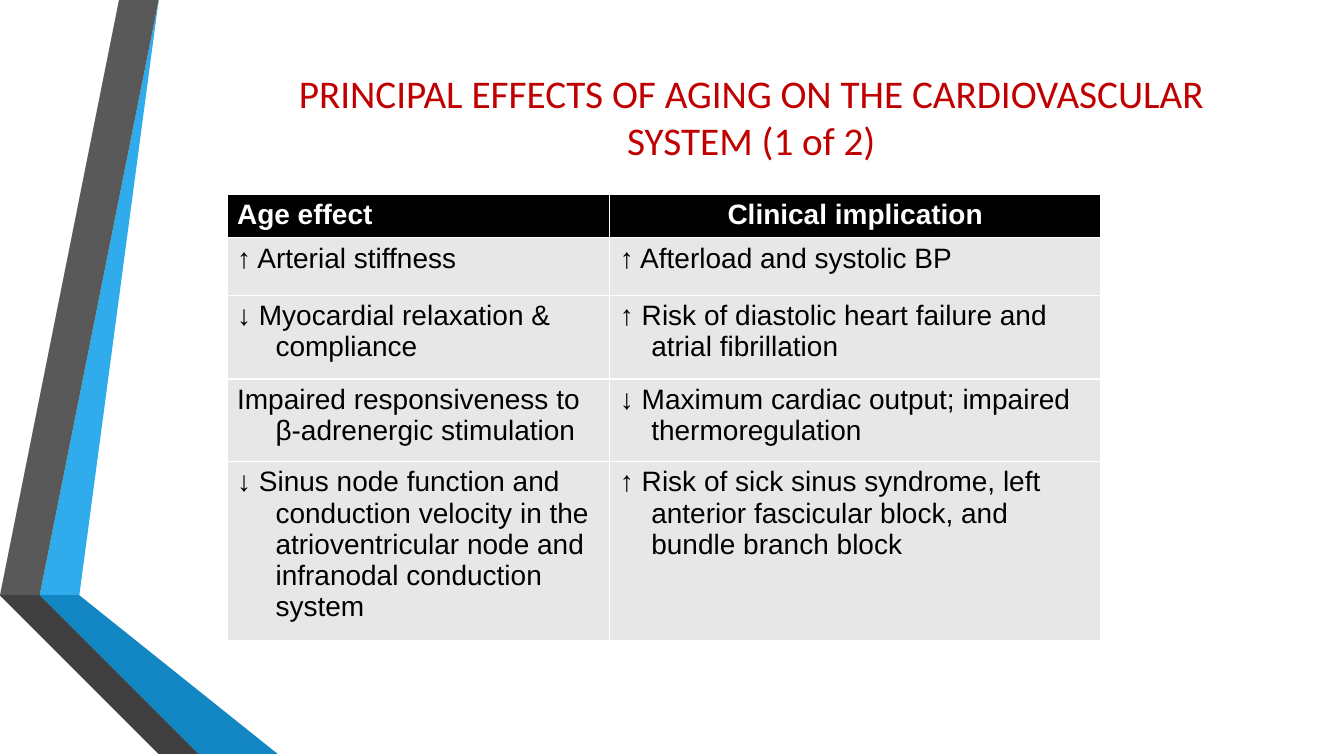
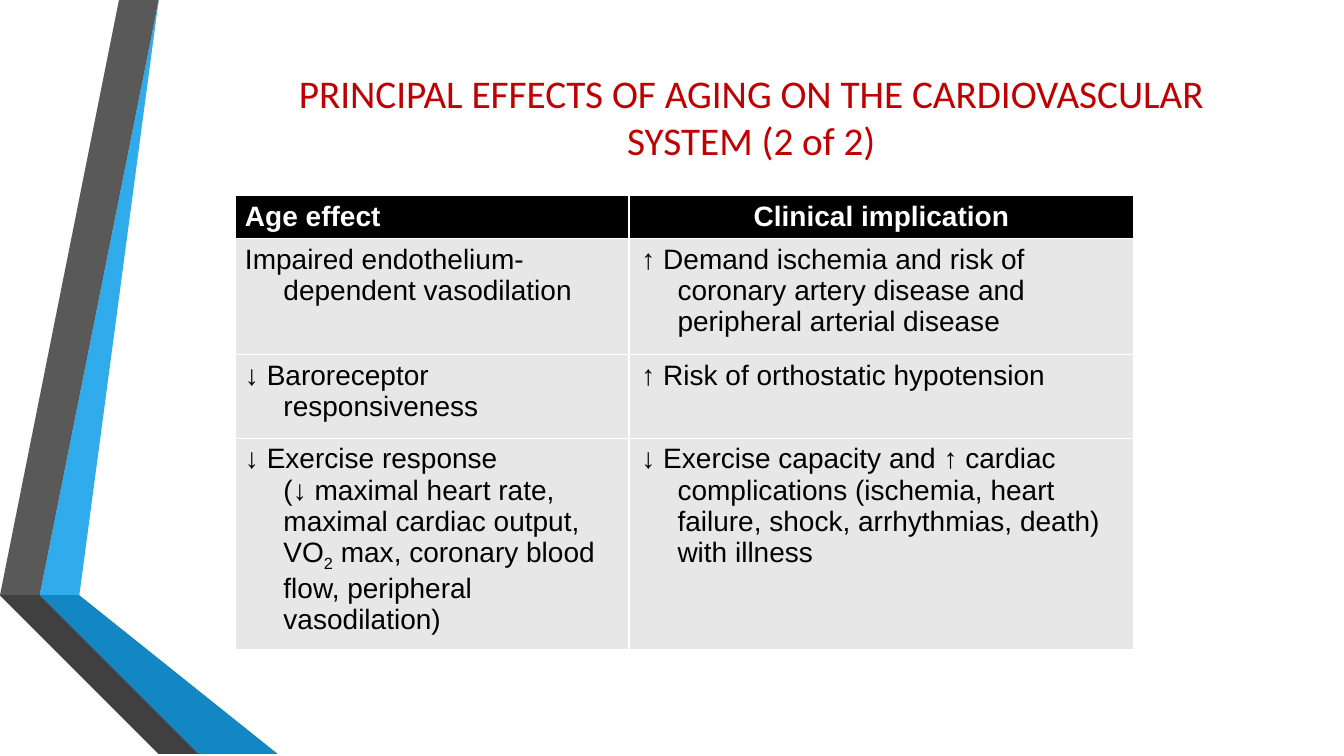
from dataclasses import dataclass

from lxml import etree
from pptx import Presentation
from pptx.dml.color import RGBColor
from pptx.enum.text import MSO_ANCHOR, MSO_AUTO_SIZE, PP_ALIGN
from pptx.oxml.ns import qn
from pptx.util import Cm, Pt

LEFT, CENTER = PP_ALIGN.LEFT, PP_ALIGN.CENTER
MIDDLE, NO_FIT = MSO_ANCHOR.MIDDLE, MSO_AUTO_SIZE.NONE
TITLE_ONLY = 5
COLORS = {
    "title": "C00000", "head": "000000", "cell": "E7E7E7",
    "text": "000000", "white": "FFFFFF",
    "sky": "30ACEC", "blue": "1287C3", "navy": "0C5A82",
    "gray": "595959", "dark": "404040", "coal": "262626",
}
TITLE = "PRINCIPAL EFFECTS OF AGING ON THE CARDIOVASCULAR SYSTEM"
HEADS = ("Age effect", "Clinical implication")


@dataclass(frozen=True)
class Band:
    color: str
    points: tuple[tuple[float, float], ...]


@dataclass(frozen=True)
class Hang:
    left: float
    first: float


@dataclass(frozen=True)
class Grid:
    left: float
    top: float
    widths: tuple[float, ...]
    heights: tuple[float, ...]
    hangs: tuple[Hang, ...]
    rows: tuple[tuple[str, str], ...]


BANDS = (
    Band("sky", ((1.27, 14.68), (1.96, 14.81), (4.39, 0), (3.68, 0))),
    Band("gray", ((3.53, 0), (2.82, 0), (0.41, 14.55), (1.12, 14.66))),
    Band("coal", ((0.41, 14.55), (3.68, 19.05), (3.84, 19.05))),
    Band("navy", ((1.27, 14.71), (5.28, 19.05), (5.44, 19.05))),
    Band("blue", ((1.27, 14.68), (1.27, 14.71), (5.44, 19.05),
                  (7.19, 19.05), (1.96, 14.81))),
    Band("dark", ((5.13, 19.05), (1.22, 14.81), (1.09, 14.66),
                  (0.41, 14.55), (3.84, 19.05))),
)

# In cell text, underscores enclose a subscript.
GRIDS = (
    Grid(5.72, 4.9, (9.65, 12.37), (1.09, 1.45, 2.11, 2.08, 4.5),
         (Hang(0.97, -0.97), Hang(0.79, -0.79)), (
        ("↑ Arterial stiffness", "↑ Afterload and systolic BP"),
        ("↓ Myocardial relaxation & compliance",
         "↑ Risk of diastolic heart failure and atrial fibrillation"),
        ("Impaired responsiveness to β-adrenergic stimulation",
         "↓ Maximum cardiac output; impaired thermoregulation"),
        ("↓ Sinus node function and conduction velocity in the "
         "atrioventricular node and infranodal conduction system",
         "↑ Risk of sick sinus syndrome, left anterior fascicular block, "
         "and bundle branch block"),
    )),
    Grid(5.92, 4.93, (9.93, 12.73), (1.09, 2.92, 2.11, 5.33),
         (Hang(0.97, -0.97), Hang(0.97, -0.91)), (
        ("Impaired endothelium-dependent vasodilation",
         "↑ Demand ischemia and risk of coronary artery disease and "
         "peripheral arterial disease"),
        ("↓ Baroreceptor responsiveness", "↑ Risk of orthostatic hypotension"),
        ("↓ Exercise response\n(↓ maximal heart rate, maximal cardiac output, "
         "VO_2_ max, coronary blood flow, peripheral vasodilation)",
         "↓ Exercise capacity and ↑ cardiac complications (ischemia, heart "
         "failure, shock, arrhythmias, death) with illness"),
    )),
)


def paint(fill, name: str) -> None:
    fill.solid()
    fill.fore_color.rgb = RGBColor.from_string(COLORS[name])


def put(frame, text: str, *, size: int = 20, font: str = "Arial",
        color: str = "text", bold: bool = False, align=LEFT,
        hang: Hang | None = None) -> None:
    """Write one paragraph, with line breaks and subscripts."""
    para = frame.paragraphs[0]
    para.alignment = align
    if hang:
        props = para._p.get_or_add_pPr()
        props.set("marL", str(Cm(hang.left)))
        props.set("indent", str(Cm(hang.first)))
    for i, part in enumerate(text.split("_")):
        for j, line in enumerate(part.split("\n")):
            if j:
                para.add_line_break()
            run = para.add_run()
            run.text = line
            run.font.size, run.font.name, run.font.bold = Pt(size), font, bold
            run.font.color.rgb = RGBColor.from_string(COLORS[color])
            if i % 2:
                run._r.get_or_add_rPr().set("baseline", "-25000")


def edge(cell) -> None:
    """Give a cell thin white borders; call before filling it."""
    props = cell._tc.get_or_add_tcPr()
    for side in ("lnL", "lnR", "lnT", "lnB"):
        line = etree.SubElement(props, qn(f"a:{side}"), w=str(Pt(1)))
        fill = etree.SubElement(line, qn("a:solidFill"))
        etree.SubElement(fill, qn("a:srgbClr"), val=COLORS["white"])


def add_bands(slide, layout) -> None:
    """Draw the ribbon as a group and move it to the back of the layout."""
    group = slide.shapes.add_group_shape()
    for band in BANDS:
        start, *rest = band.points
        pen = group.shapes.build_freeform(*start, scale=Cm(1))
        pen.add_line_segments(rest, close=True)
        shape = pen.convert_to_shape()
        shape.shadow.inherit = False
        paint(shape.fill, band.color)
        shape.line.fill.background()
    layout.shapes.element.insert(2, group._element)


def add_grid(slide, grid: Grid) -> None:
    table = slide.shapes.add_table(
        len(grid.heights), len(grid.widths), Cm(grid.left), Cm(grid.top),
        Cm(sum(grid.widths)), Cm(sum(grid.heights))).table
    for col, width in zip(table.columns, grid.widths):
        col.width = Cm(width)
    for row, height in zip(table.rows, grid.heights):
        row.height = Cm(height)
    for r, texts in enumerate((HEADS, *grid.rows)):
        for c, text in enumerate(texts):
            cell = table.cell(r, c)
            edge(cell)
            if r:
                paint(cell.fill, "cell")
                put(cell.text_frame, text, hang=grid.hangs[c])
            else:
                paint(cell.fill, "head")
                put(cell.text_frame, text, color="white", bold=True,
                    align=CENTER if c else LEFT)


def set_title(slide, text: str) -> None:
    frame = slide.shapes.title.text_frame
    frame.word_wrap, frame.auto_size = True, NO_FIT
    frame.vertical_anchor = MIDDLE
    put(frame, text, size=28, font="Calibri", color="title", align=CENTER)


def main() -> None:
    prs = Presentation()
    prs.slide_width, prs.slide_height = Cm(33.87), Cm(19.05)
    layout = prs.slide_layouts[TITLE_ONLY]
    title = layout.placeholders[0]
    title.left, title.top = Cm(7.18), Cm(1.57)
    title.width, title.height = Cm(23.5), Cm(2.74)
    for num, grid in enumerate(GRIDS, 1):
        slide = prs.slides.add_slide(layout)
        if num == 1:
            add_bands(slide, layout)
        set_title(slide, f"{TITLE} ({num} of {len(GRIDS)})")
        add_grid(slide, grid)
    prs.save("out.pptx")


if __name__ == "__main__":
    main()
